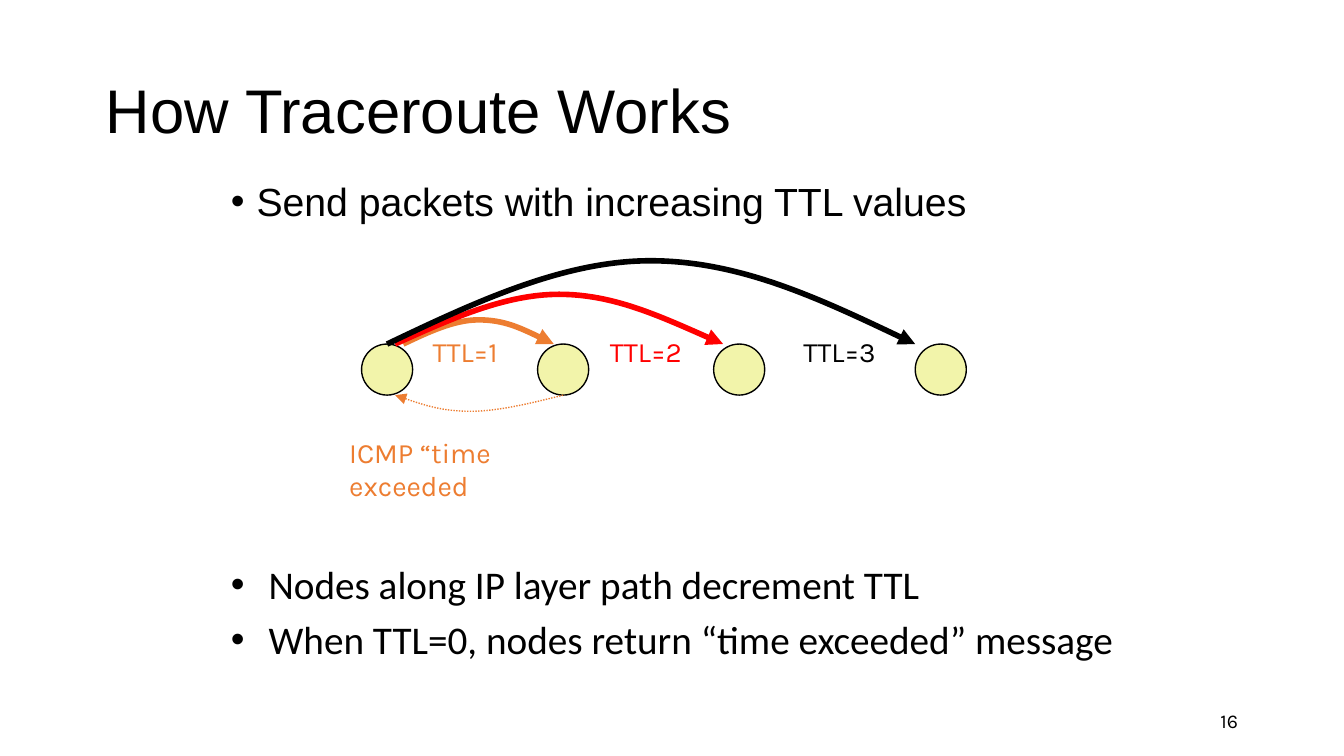
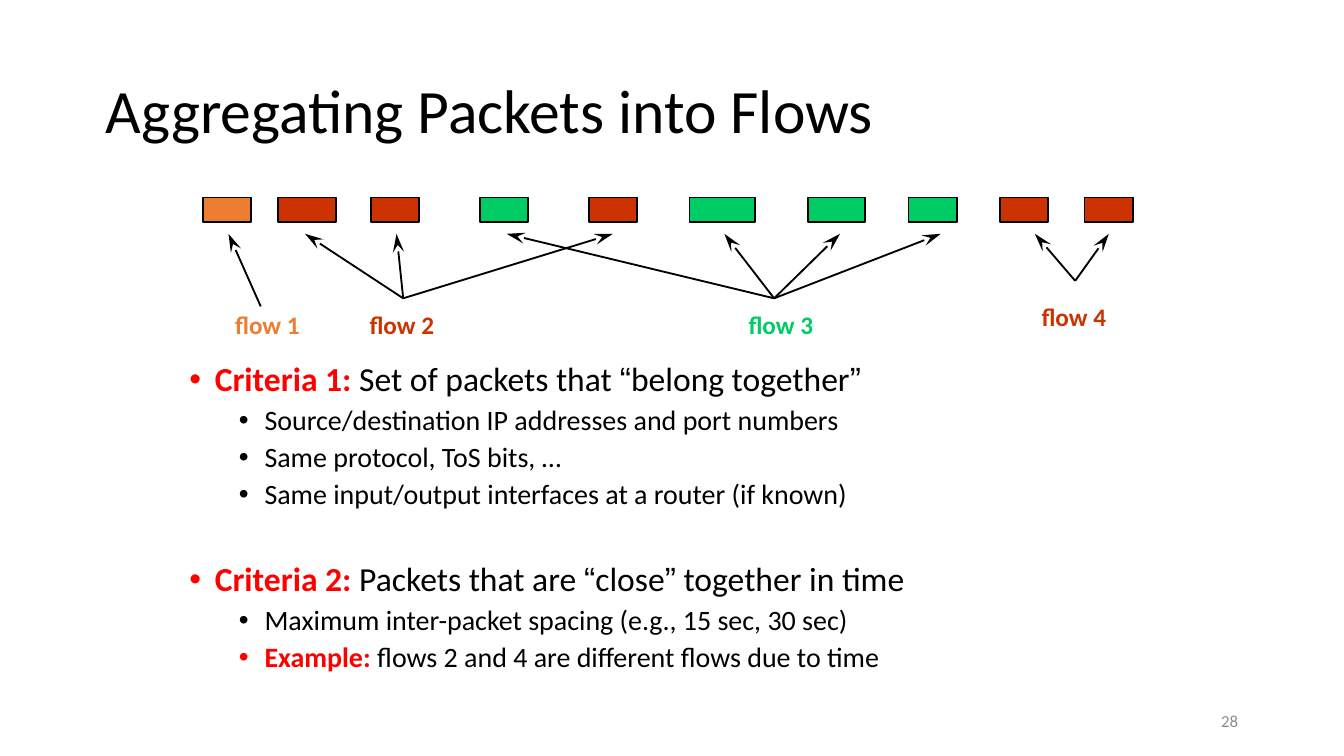
from lxml import etree
from pptx import Presentation
from pptx.dml.color import RGBColor
from pptx.enum.dml import MSO_LINE
from pptx.enum.shapes import MSO_CONNECTOR, MSO_SHAPE
from pptx.enum.text import MSO_ANCHOR, PP_ALIGN
from pptx.oxml.ns import qn
from pptx.util import Inches, Pt

COLORS = {
    "black": "000000", "gray": "8C8C8C", "orange": "ED7D31", "red": "FF0000",
    "node": "F2F4AA", "brick": "CC3300", "green": "00CC66",
}
RGB = {name: RGBColor.from_string(value) for name, value in COLORS.items()}
TITLE_BOX = (0.69, 0.3, 8.62, 1.09)
NUMBER_BOX = (7.06, 5.21, 2.25, 0.3)


def add_text(s, box, paras, spacing=None, anchor=MSO_ANCHOR.TOP,
             align=None, wrap=True, insets=(0.1, 0.05)):
    """Each paragraph is (left indent or None, hanging, space before, runs)."""
    tf = s.shapes.add_textbox(*map(Inches, box)).text_frame
    tf.word_wrap = wrap
    tf.vertical_anchor = anchor
    tf.margin_left = tf.margin_right = Inches(insets[0])
    tf.margin_top = tf.margin_bottom = Inches(insets[1])
    for i, (left, hanging, before, runs) in enumerate(paras):
        p = tf.paragraphs[0] if i == 0 else tf.add_paragraph()
        if left is not None:
            pPr = p._p.get_or_add_pPr()
            pPr.set("marL", str(Inches(left)))
            pPr.set("indent", str(-Inches(hanging)))
            etree.SubElement(pPr, qn("a:buFont")).set("typeface", "Arial")
            etree.SubElement(pPr, qn("a:buChar")).set("char", "•")
        if i:
            p.space_before = Pt(before)
        if spacing:
            p.line_spacing = spacing
        if align is not None:
            p.alignment = align
        for text, size, font, color, bold in runs:
            r = p.add_run()
            r.text = text
            r.font.size = Pt(size)
            r.font.name = font
            r.font.bold = bold
            r.font.color.rgb = RGB[color]


def style_line(sp, color, width, end=None, arrow=None, length="med", dash=None):
    sp.line.color.rgb = RGB[color]
    sp.line.width = Pt(width)
    if dash:
        sp.line.dash_style = dash
    if end:
        ln = sp._element.spPr.find(qn("a:ln"))
        head = etree.SubElement(ln, qn("a:" + end))
        head.set("type", arrow)
        head.set("len", length)


# 16:9 page
prs = Presentation()
prs.slide_width = Inches(10)
prs.slide_height = prs.slide_width * 9 // 16

# Shared title and page number
slides = []
for title, font, number, num_size, num_font, num_color in [
    ("How Traceroute Works", "Arial", "16", 10.5, "Karla", "black"),
    ("Aggregating Packets into Flows", "Calibri", "28", 9, "Calibri", "gray"),
]:
    s = prs.slides.add_slide(prs.slide_layouts[6])
    add_text(s, TITLE_BOX, [(None, 0, 0, [(title, 33, font, "black", False)])],
             spacing=0.9, anchor=MSO_ANCHOR.MIDDLE)
    add_text(s, NUMBER_BOX,
             [(None, 0, 0, [(number, num_size, num_font, num_color, False)])],
             anchor=MSO_ANCHOR.MIDDLE, align=PP_ALIGN.RIGHT)
    slides.append(s)

# Slide 1: bullets
s = slides[0]
add_text(s, (1.62, 1.31, 6.75, 0.5), [(0.19, 0.19, 0, [
    ("Send packets with increasing TTL values", 21, "Arial", "black", False)])],
    spacing=0.9)
add_text(s, (1.62, 4.12, 7.12, 0.5), [
    (0.28, 0.28, 4.2, [(text, 21, "Calibri", "black", False)])
    for text in ("Nodes along IP layer path decrement TTL",
                 "When TTL=0, nodes return “time exceeded” message")])

# Slide 1: nodes
for x in (2.69, 4, 5.31, 6.81):
    sp = s.shapes.add_shape(MSO_SHAPE.OVAL, Inches(x), Inches(2.56),
                            Inches(0.38), Inches(0.38))
    sp.shadow.inherit = False
    sp.fill.solid()
    sp.fill.fore_color.rgb = RGB["node"]
    style_line(sp, "black", 0.75)

# Slide 1: curved arrows, each a start point and two Bezier segments
curves = [
    ("orange", 3, None, [(3, 2.56), (3.19, 2.47), (3.38, 2.38), (3.56, 2.38),
                         (3.75, 2.38), (3.94, 2.47), (4.12, 2.56)]),
    ("red", 3, None, [(2.94, 2.56), (3.34, 2.38), (3.75, 2.19), (4.16, 2.19),
                      (4.56, 2.19), (4.97, 2.38), (5.38, 2.56)]),
    ("black", 3, None, [(2.88, 2.56), (3.53, 2.25), (4.19, 1.94), (4.84, 1.94),
                        (5.5, 1.94), (6.16, 2.25), (6.81, 2.56)]),
    ("orange", 0.75, MSO_LINE.ROUND_DOT,
     [(4.19, 2.94), (3.95, 3), (3.71, 3.06), (3.5, 3.06),
      (3.29, 3.06), (3.11, 3), (2.94, 2.94)]),
]
for color, width, dash, points in curves:
    points = [(Inches(x), Inches(y)) for x, y in points]
    fb = s.shapes.build_freeform(*points[0])
    fb.add_line_segments(points[1:], close=False)
    sp = fb.convert_to_shape()
    segments = list(sp._element.iter(qn("a:lnTo")))
    for i in range(0, len(segments), 3):
        curve = etree.Element(qn("a:cubicBezTo"))
        segments[i].addprevious(curve)
        for segment in segments[i:i + 3]:
            curve.append(segment[0])
            segment.getparent().remove(segment)
    sp.shadow.inherit = False
    sp.fill.background()
    style_line(sp, color, width, "tailEnd", "triangle", dash=dash)

# Slide 1: labels
for text, color, box in [
    ("TTL=1", "orange", (3.12, 2.44, 0.81, 0.35)),
    ("TTL=2", "red", (4.44, 2.44, 0.81, 0.35)),
    ("TTL=3", "black", (5.88, 2.44, 0.81, 0.35)),
    ("ICMP “time exceeded", "orange", (2.5, 3.19, 1.25, 0.61)),
]:
    add_text(s, box, [(None, 0, 0, [(text, 15, "Karla", color, False)])])

# Slide 2: flows as label position, arrow origin, packets (left, width, arrow tip)
s = slides[1]
flows = [
    ("flow 1", "orange", (1.67, 2.26), (1.94, 2.28), [(1.51, 0.36, 1.7)]),
    ("flow 2", "brick", (2.67, 2.26), (3, 2.22),
     [(2.07, 0.43, 2.27), (2.76, 0.36, 2.95), (4.38, 0.36, 4.56)]),
    ("flow 3", "green", (5.49, 2.26), (5.76, 2.22),
     [(3.57, 0.36, 3.77), (5.13, 0.49, 5.39), (6.01, 0.43, 6.25), (6.76, 0.36, 7)]),
    ("flow 4", "brick", (7.67, 2.2), (8, 2.09),
     [(7.44, 0.36, 7.7), (8.07, 0.36, 8.25)]),
]
for name, color, label, origin, packets in flows:
    for x, w, tip in packets:
        sp = s.shapes.add_shape(MSO_SHAPE.RECTANGLE, Inches(x), Inches(1.47),
                                Inches(w), Inches(0.18))
        sp.shadow.inherit = False
        sp.fill.solid()
        sp.fill.fore_color.rgb = RGB[color]
        style_line(sp, "black", 1)
        cn = s.shapes.add_connector(MSO_CONNECTOR.STRAIGHT, Inches(tip), Inches(1.74),
                                    *map(Inches, origin))
        style_line(cn, "black", 1, "headEnd", "stealth", "lg")
        etree.SubElement(cn._element.spPr, qn("a:effectLst"))
    add_text(s, (*label, 0.69, 0.3),
             [(None, 0, 0, [(name, 13.5, "Calibri", color, True)])],
             wrap=False, insets=(0.08, 0.04))

# Slide 2: criteria as level, space before, runs (text, font, highlighted)
criteria = [
    (0, 0, [("Criteria 1:", "Calibri", True), (" Set of packets that ", "Calibri", False),
            ("“", "Arial", False), ("belong together", "Calibri", False),
            ("”", "Arial", False)]),
    (1, 3.8, [("Source/destination IP addresses and port numbers", "Calibri", False)]),
    (1, 3.8, [("Same protocol, ToS bits, …", "Calibri", False)]),
    (1, 3.8, [("Same input/output interfaces at a router (if known)", "Calibri", False)]),
    (0, 27.7, [("Criteria 2:", "Calibri", True), (" Packets that are ", "Calibri", False),
               ("“", "Arial", False), ("close", "Calibri", False),
               ("”", "Arial", False), (" together in time", "Calibri", False)]),
    (1, 3.8, [("Maximum inter-packet spacing (e.g., 15 sec, 30 sec)", "Calibri", False)]),
    (1, 3.8, [("Example:", "Calibri", True),
              (" flows 2 and 4 are different flows due to time", "Calibri", False)]),
]
add_text(s, (1.31, 2.65, 7.35, 2.9), [
    ((0.19, 0.56)[level], 0.19, before,
     [(text, (18, 15)[level], font, "red" if hot else "black", hot)
      for text, font, hot in runs])
    for level, before, runs in criteria], spacing=0.9)

prs.save("out.pptx")
